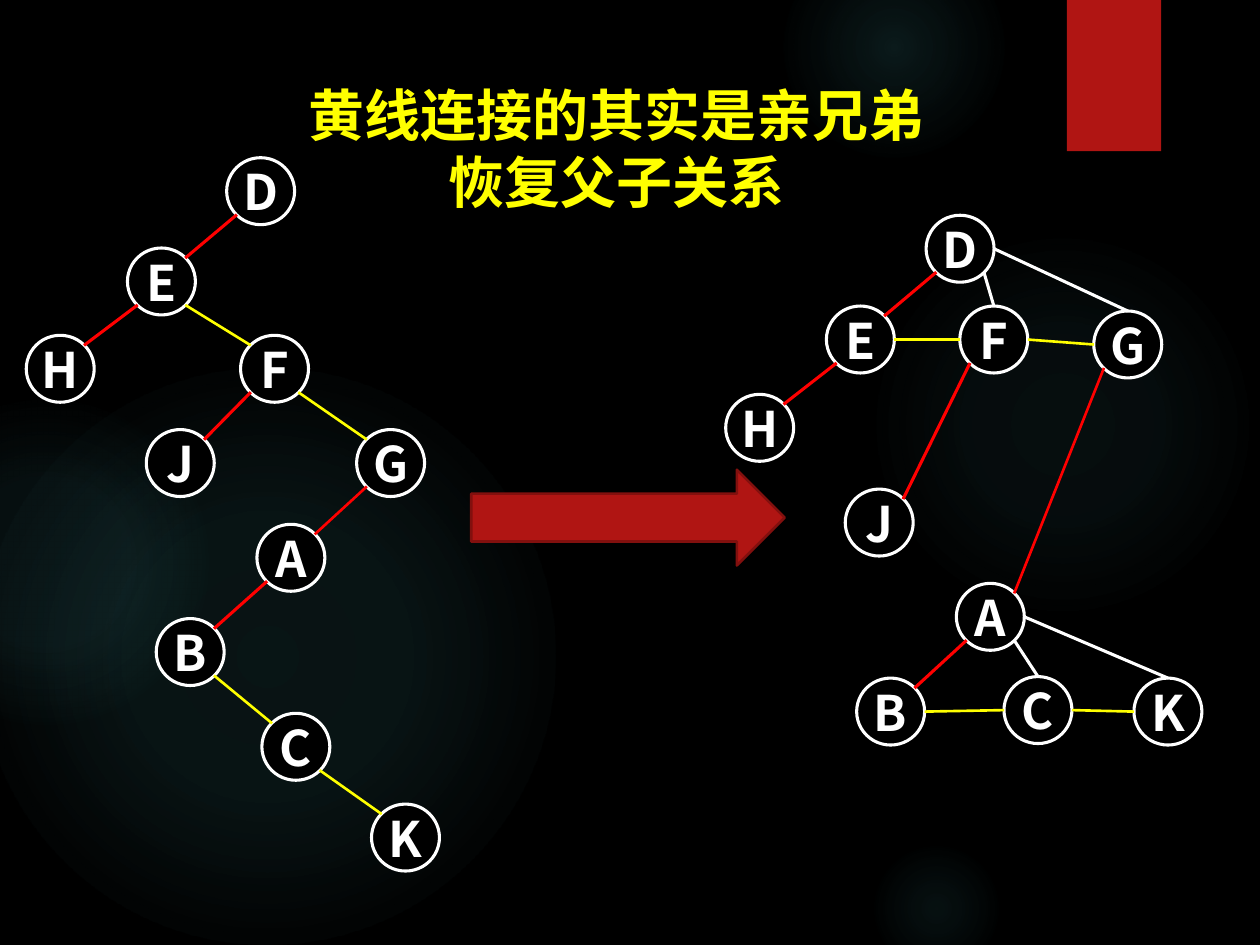
from lxml import etree
from pptx import Presentation
from pptx.dml.color import RGBColor
from pptx.enum.shapes import MSO_CONNECTOR, MSO_SHAPE
from pptx.enum.text import MSO_ANCHOR, MSO_AUTO_SIZE, PP_ALIGN
from pptx.oxml import parse_xml
from pptx.oxml.ns import nsdecls, qn
from pptx.util import Cm, Pt

OVAL = MSO_SHAPE.OVAL
RECTANGLE = MSO_SHAPE.RECTANGLE
RIGHT_ARROW = MSO_SHAPE.RIGHT_ARROW
STRAIGHT = MSO_CONNECTOR.STRAIGHT
MIDDLE = MSO_ANCHOR.MIDDLE
CENTER = PP_ALIGN.CENTER
FIT_SHAPE = MSO_AUTO_SIZE.SHAPE_TO_FIT_TEXT

BLACK = RGBColor(0x00, 0x00, 0x00)
WHITE = RGBColor(0xFF, 0xFF, 0xFF)
RED = RGBColor(0xFF, 0x00, 0x00)
YELLOW = RGBColor(0xFF, 0xFF, 0x00)
CRIMSON = RGBColor(0xB0, 0x15, 0x13)
DARK_RED = RGBColor(0x82, 0x10, 0x0E)
TEAL = RGBColor(0x50, 0xB9, 0xC1)

NODE_WIDTH, NODE_HEIGHT = 1.37, 1.35
NODE_FONT = {"size": Pt(28), "bold": True, "name": "Noto Sans CJK SC"}
TITLE_FONT = {"size": Pt(32), "bold": True, "name": "Arial"}
NODE_FRAME = {"word_wrap": False, "vertical_anchor": MIDDLE}
TITLE_FRAME = {"word_wrap": False, "auto_size": FIT_SHAPE}

SITES = {
    "N": (0.5, 0), "E": (1, 0.5), "W": (0, 0.5),
    "NW": (0.15, 0.15), "NE": (0.85, 0.15),
    "SW": (0.15, 0.85), "SE": (0.85, 0.85),
}
CHILD = ("SW", "NE", RED, 1.75)
LONG_CHILD = ("SW", "NE", RED, 1.5)
SIBLING = ("SE", "NW", YELLOW, 1.5)
LEVEL_SIBLING = ("E", "W", YELLOW, 1.5)
NEAR_CHILD = ("SE", "N", WHITE, 1.75)
FAR_CHILD = ("E", "N", WHITE, 1.75)

BINARY_NODES = {
    "D": (4.04, 0), "E": (2.04, 1.82), "F": (4.32, 3.58), "G": (6.66, 5.48),
    "H": (0, 3.58), "J": (2.42, 5.48), "A": (4.65, 7.39), "B": (2.62, 9.29),
    "C": (4.75, 11.2), "K": (6.96, 13.03),
}
BINARY_EDGES = {
    "DE": CHILD, "EH": CHILD, "FJ": CHILD, "GA": LONG_CHILD, "AB": CHILD,
    "EF": SIBLING, "FG": SIBLING, "BC": SIBLING, "CK": SIBLING,
}
FAMILY_NODES = {
    "D": (4.04, 0), "E": (2.03, 1.83), "F": (4.72, 1.83), "G": (7.42, 1.93),
    "H": (0, 3.61), "J": (2.41, 5.52), "A": (4.65, 7.42), "B": (2.64, 9.33),
    "C": (5.61, 9.3), "K": (8.23, 9.33),
}
FAMILY_EDGES = {
    "DE": CHILD, "EH": CHILD, "FJ": CHILD, "GA": LONG_CHILD, "AB": CHILD,
    "EF": LEVEL_SIBLING, "FG": LEVEL_SIBLING,
    "BC": LEVEL_SIBLING, "CK": LEVEL_SIBLING,
    "DF": NEAR_CHILD, "DG": FAR_CHILD, "AC": NEAR_CHILD, "AK": FAR_CHILD,
}
GLOWS = [
    (17.5, 4.65, 7.82, (7, 6, 69)),
    (15.8, -1.27, 4.45, (14, 7, 73)),
    (17.5, 16.94, 2.74, (9, 5, 66)),
    (-0.43, 7.42, 11.63, (11, 10, 75)),
    (-2.34, 8.05, 6.55, (8, 8, 72)),
]


def apply(target, values):
    for name, value in values.items():
        setattr(target, name, value)


def add_plain_shape(slide, kind, box, fill, line=None, width=1.5):
    shape = slide.shapes.add_shape(kind, *map(Cm, box))
    shape.shadow.inherit = False
    shape.fill.solid()
    shape.fill.fore_color.rgb = fill
    if line is None:
        shape.line.fill.background()
    else:
        shape.line.color.rgb = line
        shape.line.width = Pt(width)
    return shape


def write_centred(paragraph, text, font, color):
    paragraph.alignment = CENTER
    run = paragraph.add_run()
    run.text = text
    apply(run.font, font)
    run.font.color.rgb = color


def add_glow(slide, left, top, size, fade):
    glow = add_plain_shape(slide, OVAL, (left, top, size, size), TEAL)
    core, halo, edge = fade
    stops = "".join(
        f'<a:gs pos="{position * 1000}"><a:srgbClr val="{TEAL}">'
        f'<a:alpha val="{alpha * 1000}"/></a:srgbClr></a:gs>'
        for position, alpha in ((0, core), (36, halo), (edge, 0))
    )
    gradient = parse_xml(
        f'<a:gradFill {nsdecls("a")} rotWithShape="1"><a:gsLst>{stops}</a:gsLst>'
        '<a:path path="circle"><a:fillToRect l="50000" t="50000" '
        'r="50000" b="50000"/></a:path></a:gradFill>'
    )
    properties = glow.element.spPr
    properties.replace(properties.find(qn("a:solidFill")), gradient)


def add_backdrop(slide):
    slide.background.fill.solid()
    slide.background.fill.fore_color.rgb = BLACK
    for left, top, size, fade in GLOWS:
        add_glow(slide, left, top, size, fade)
    ribbon = add_plain_shape(slide, RECTANGLE, (21.51, 0, 1.9, 3.05), CRIMSON)
    effects = ribbon.element.spPr.find(qn("a:effectLst"))
    effects.append(parse_xml(
        f'<a:outerShdw {nsdecls("a")} blurRad="{Pt(3)}" dist="{Pt(2)}" '
        'dir="5400000" rotWithShape="0"><a:srgbClr val="000000">'
        '<a:alpha val="45000"/></a:srgbClr></a:outerShdw>'
    ))


def add_title(slide, box, lines):
    title = slide.shapes.add_textbox(*map(Cm, box))
    frame = title.text_frame
    apply(frame, TITLE_FRAME)
    for index, line in enumerate(lines):
        paragraph = frame.add_paragraph() if index else frame.paragraphs[0]
        write_centred(paragraph, line, TITLE_FONT, YELLOW)


def add_tree(slide, left, top, nodes, edges):
    def site_point(letter, site):
        x, y = nodes[letter]
        across, down = SITES[site]
        return (Cm(left + x + across * NODE_WIDTH),
                Cm(top + y + down * NODE_HEIGHT))

    for letter, (x, y) in nodes.items():
        box = (left + x, top + y, NODE_WIDTH, NODE_HEIGHT)
        node = add_plain_shape(slide, OVAL, box, BLACK, WHITE, 1.75)
        apply(node.text_frame, NODE_FRAME)
        write_centred(node.text_frame.paragraphs[0], letter, NODE_FONT, WHITE)

    for (parent, child), (start, end, color, width) in edges.items():
        edge = slide.shapes.add_connector(
            STRAIGHT, *site_point(parent, start), *site_point(child, end))
        edge.line.color.rgb = color
        edge.line.width = Pt(width)
        etree.SubElement(edge.element.spPr, qn("a:effectLst"))


def main():
    presentation = Presentation()
    presentation.slide_width = Cm(25.4)
    presentation.slide_height = Cm(19.05)
    slide = presentation.slides.add_slide(presentation.slide_layouts[6])
    add_backdrop(slide)
    add_tree(slide, 0.53, 3.18, BINARY_NODES, BINARY_EDGES)
    add_title(slide, (5.89, 1.5, 13.08, 3),
              ["黄线连接的其实是亲兄弟", "恢复父子关系"])
    add_plain_shape(slide, RIGHT_ARROW, (9.5, 9.47, 6.32, 1.93), CRIMSON, DARK_RED)
    add_tree(slide, 14.63, 4.34, FAMILY_NODES, FAMILY_EDGES)
    presentation.save("out.pptx")


if __name__ == "__main__":
    main()
